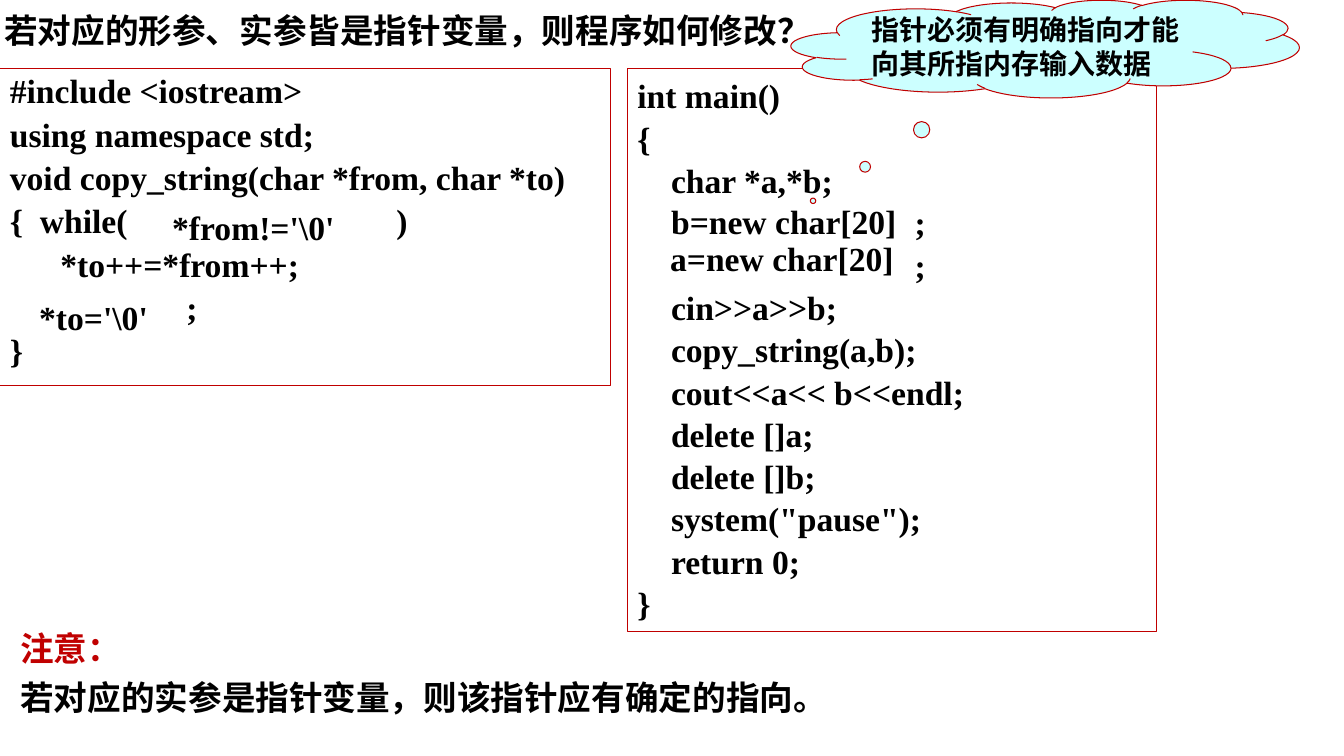
from lxml import etree
from pptx import Presentation
from pptx import util as u
from pptx.dml.color import RGBColor
from pptx.enum import shapes, text
from pptx.oxml.ns import qn

COLORS = {"ink": "000000", "accent": "C00000", "cloud": "CCFFFF"}
HAN, CODE = "Noto Sans CJK SC", "Times New Roman"
INDENT = 24      # one level of code, points
GAP_END = 198    # semicolon that closes each filled-in statement

# Code lines: (indent in points, text)
MAIN_CODE = [
    (0, "int main()"),
    (0, "{"),
    (INDENT, "char *a,*b;"),
    (GAP_END, ";"),
    (GAP_END, ";"),
    (INDENT, "cin>>a>>b;"),
    (INDENT, "copy_string(a,b);"),
    (INDENT, "cout<<a<< b<<endl;"),
    (INDENT, "delete []a;"),
    (INDENT, "delete []b;"),
    (INDENT, 'system("pause");'),
    (INDENT, "return 0;"),
    (0, "}"),
]
COPY_CODE = [
    (0, "#include <iostream>"),
    (0, "using namespace std;"),
    (0, "void copy_string(char *from, char *to)"),
    (0, "{  while("),
    (36, "*to++=*from++;"),
    (126, ";"),
    (0, "}"),
]
NOTE = [(0, "注意："), (0, "若对应的实参是指针变量，则该指针应有确定的指向。")]
TITLE = [(0, "若对应的形参、实参皆是指针变量，则程序如何修改？")]
HINT = [(0, "指针必须有明确指向才能向其所指内存输入数据")]

RECT = shapes.MSO_SHAPE.RECTANGLE
CLOUD = shapes.MSO_SHAPE.CLOUD_CALLOUT
JUSTIFY = text.PP_ALIGN.JUSTIFY

# Back to front: (left, top, width, height), lines, format
PARTS = [
    ((7.5, 445, 643.7, 75.6), NOTE, dict(font=HAN, before=25, first="accent")),
    ((448.2, 48.8, 378, 402.5), MAIN_CODE, dict(kind=RECT, spacing=1.05, align=JUSTIFY)),
    ((471.6, 166.3, 175.7, 36), [(0, "a=new char[20]")], dict(before=50)),
    ((472.3, 139.7, 175.7, 36), [(0, "b=new char[20]")], dict(before=50)),
    ((565.2, 0, 362.9, 69.8), HINT,
     dict(kind=CLOUD, font=HAN, size=20, fill="cloud", tail=(-0.457, 1.556),
          anchor=text.MSO_ANCHOR.MIDDLE)),
    ((0, 48.8, 436.3, 226.8), COPY_CODE, dict(kind=RECT, spacing=0.95, before=15)),
    ((115.9, 144, 152.6, 36), [(0, "*from!='\\0'")], dict(before=50)),
    ((276, 139.4, 36, 36), [(0, ")")], dict(before=50)),
    ((20.9, 208.8, 102.2, 36), [(0, "*to='\\0'")], dict(before=50)),
    ((-4, 3.6, 643.7, 36), TITLE, dict(font=HAN, before=25)),
]


def rgb(name):
    return RGBColor.from_string(COLORS[name])


def space_paragraph(paragraph, indent, before):
    """Set the left indent, and space before in percent of a line."""
    props = paragraph._p.get_or_add_pPr()
    props.set("marL", str(u.Pt(indent)))
    props.set("indent", "0")
    if before:
        space = etree.SubElement(props, qn("a:spcBef"))
        etree.SubElement(space, qn("a:spcPct"), val=str(before * 1000))


def write_lines(frame, lines, style):
    font_name = style.get("font", CODE)
    for number, (indent, words) in enumerate(lines):
        paragraph = frame.add_paragraph() if number else frame.paragraphs[0]
        space_paragraph(paragraph, indent, style.get("before"))
        paragraph.line_spacing = style.get("spacing")
        paragraph.alignment = style.get("align", text.PP_ALIGN.LEFT)
        run = paragraph.add_run()
        run.text = words
        color = "ink" if number else style.get("first", "ink")
        run.font.color.rgb = rgb(color)
        look = dict(size=u.Pt(style.get("size", 24)), bold=True, name=font_name)
        for key, value in look.items():
            setattr(run.font, key, value)
        etree.SubElement(run._r.get_or_add_rPr(), qn("a:ea"), typeface=font_name)


def add_part(slide, box, lines, style):
    place = [u.Pt(length) for length in box]
    if "kind" in style:
        part = slide.shapes.add_shape(style["kind"], *place)
        part.shadow.inherit = False
        part.line.color.rgb = rgb("accent")
        part.line.width = u.Pt(0.75)
        if "fill" in style:
            part.fill.solid()
            part.fill.fore_color.rgb = rgb(style["fill"])
        else:
            part.fill.background()
        for number, value in enumerate(style.get("tail", ())):
            part.adjustments[number] = value
    else:
        part = slide.shapes.add_textbox(*place)
    frame = part.text_frame
    frame.word_wrap = True
    frame.vertical_anchor = style.get("anchor", text.MSO_ANCHOR.TOP)
    write_lines(frame, lines, style)


def main():
    deck = Presentation()
    deck.slide_width, deck.slide_height = u.Pt(960), u.Pt(540)
    slide = deck.slides.add_slide(deck.slide_layouts[6])
    for box, lines, style in PARTS:
        add_part(slide, box, lines, style)
    deck.save("out.pptx")


if __name__ == "__main__":
    main()
